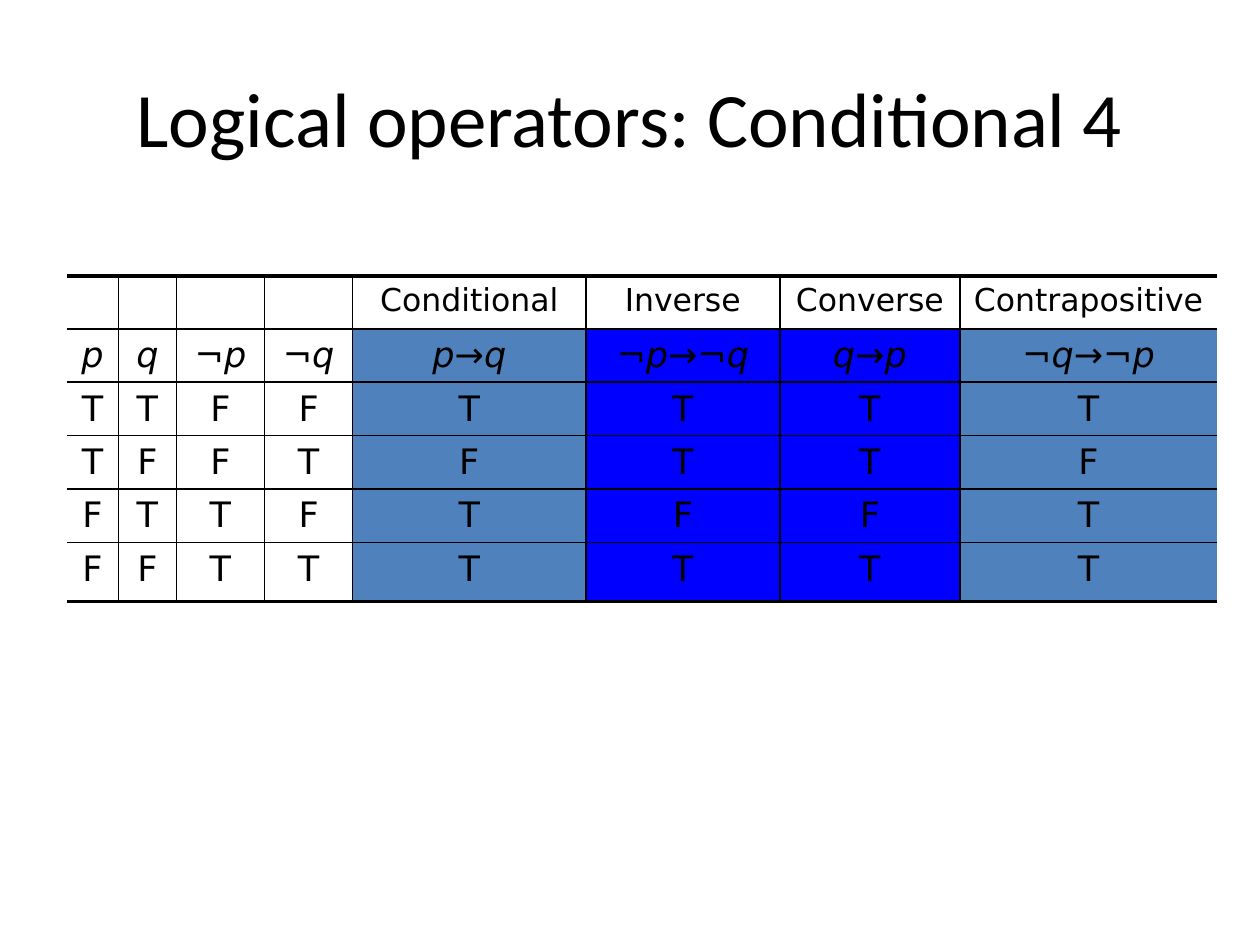
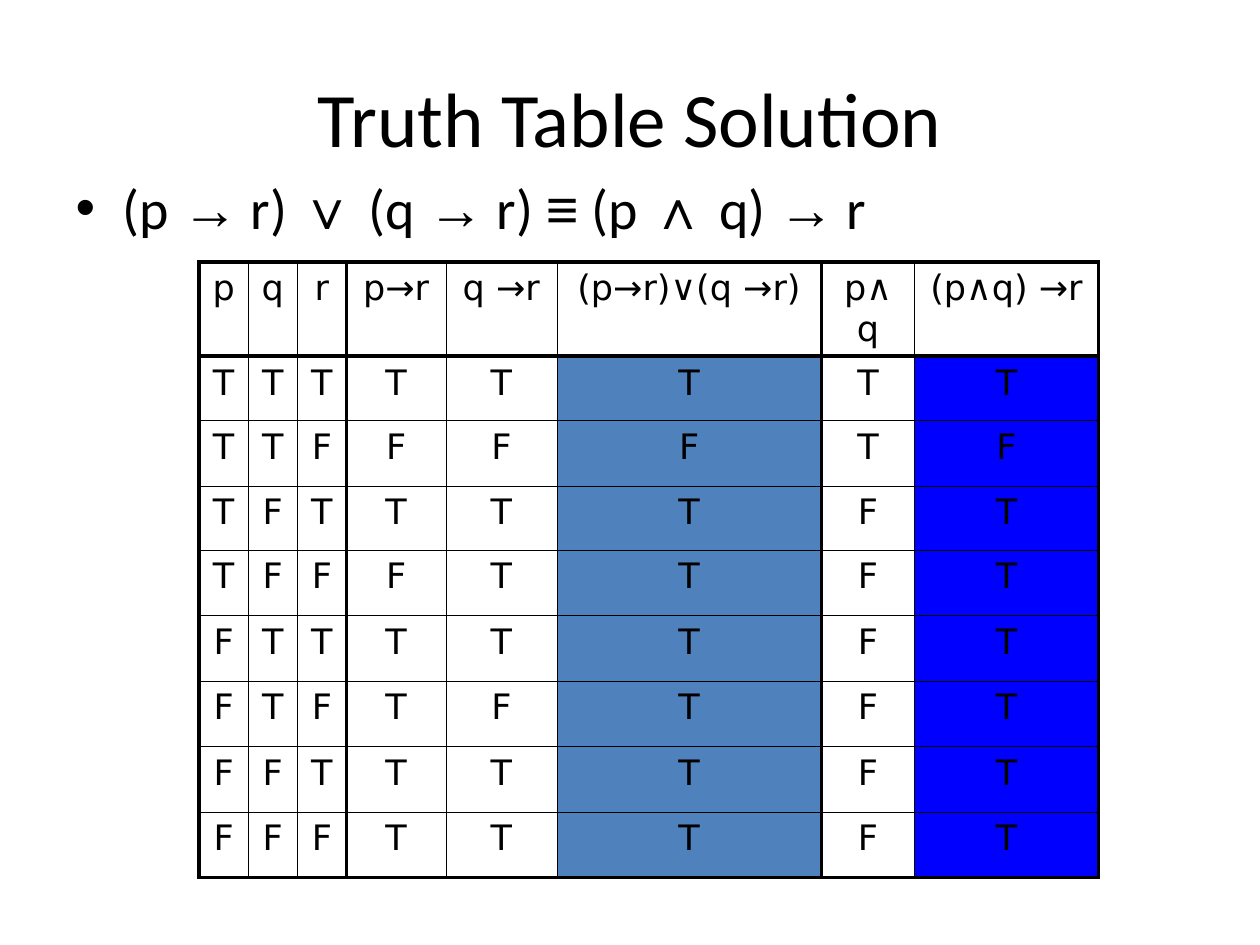
"""Build two slides that show truth tables for conditionals."""
import itertools

import pptx
import pptx.dml.color
import pptx.enum.text
import pptx.oxml
import pptx.oxml.ns
import pptx.util

Inches = pptx.util.Inches
Pt = pptx.util.Pt
RGBColor = pptx.dml.color.RGBColor
CENTER = pptx.enum.text.PP_ALIGN.CENTER

BLACK = RGBColor(0x00, 0x00, 0x00)
STEEL = RGBColor(0x4F, 0x81, 0xBD)
BLUE = RGBColor(0x00, 0x00, 0xFF)

HEAD_FONT = "Calibri"
SIGN_FONT = "Arial"
CELL_FONT = "DejaVu Sans"
SIGNS = "→∨≡∧"
THICK = 2.25


def style(run, size, font):
    """Give a run its size, font and black colour."""
    run.font.size = Pt(size)
    run.font.name = font
    run.font.color.rgb = BLACK


def split(para, text, marks):
    """Add text as runs and yield each run with whether it holds marks."""
    for hit, group in itertools.groupby(text, lambda char: char in marks):
        run = para.add_run()
        run.text = "".join(group)
        yield run, hit


def place(shape, left, top, width, height):
    """Move and size a shape, in inches."""
    shape.left, shape.top = Inches(left), Inches(top)
    shape.width, shape.height = Inches(width), Inches(height)


def add_slide(deck, layout, title):
    """Add a slide with a centred title."""
    slide = deck.slides.add_slide(deck.slide_layouts[layout])
    head = slide.shapes.title
    place(head, 0.5, 0.3, 9, 1.25)
    head.text_frame.text = title
    para = head.text_frame.paragraphs[0]
    para.alignment = CENTER
    style(para.runs[0], 44, HEAD_FONT)
    return slide


def add_claim(slide, text):
    """Fill the body with one bulleted formula."""
    body = slide.placeholders[1]
    place(body, 0.5, 1.33, 9, 5.37)
    para = body.text_frame.paragraphs[0]
    para.space_before = Pt(0)
    for run, sign in split(para, text, SIGNS):
        style(run, 32, SIGN_FONT if sign else HEAD_FONT)


def add_edge(cell, side, width):
    """Draw one cell border, or none when the width is zero."""
    props = cell._tc.get_or_add_tcPr()
    space = pptx.oxml.ns.nsdecls("a")
    paint = f'<a:solidFill><a:srgbClr val="{BLACK}"/></a:solidFill>'
    props.append(pptx.oxml.parse_xml(
        f'<a:ln{side} {space} w="{Pt(width)}">'
        f'{paint if width else "<a:noFill/>"}</a:ln{side}>'))


def fill_cell(cell, text, size, slanted=""):
    """Write centred text, with the slanted letters in italics."""
    para = cell.text_frame.paragraphs[0]
    para.alignment = CENTER
    for run, hit in split(para, text, slanted):
        style(run, size, CELL_FONT)
        run.font.italic = hit


def add_grid(slide, left, top, cols, rows, uprights, levels, fills):
    """Add an empty table with given border widths and column fills."""
    frame = slide.shapes.add_table(
        len(rows), len(cols), Inches(left), Inches(top),
        Inches(sum(cols)), Inches(sum(rows)))
    table = frame.table
    table.first_row = table.horz_banding = False
    for col, width in zip(table.columns, cols):
        col.width = Inches(width)
    for row, height in zip(table.rows, rows):
        row.height = Inches(height)
    for r, c in itertools.product(range(len(rows)), range(len(cols))):
        cell = table.cell(r, c)
        edges = uprights[c], uprights[c + 1], levels[r], levels[r + 1]
        for side, width in zip("LRTB", edges):
            add_edge(cell, side, width)
        if r and c in fills:
            cell.fill.solid()
            cell.fill.fore_color.rgb = fills[c]
        else:
            cell.fill.background()
    return table


def add_truths(table, first, lines):
    """Write strings of T and F into the rows from the first on."""
    for r, line in enumerate(lines, first):
        for c, value in enumerate(line):
            fill_cell(table.cell(r, c), value, 20)


def add_forms(deck):
    """Add the slide on the four forms of a conditional."""
    slide = add_slide(deck, 5, "Logical operators: Conditional 4")
    table = add_grid(
        slide, 0.53, 2.19,
        cols=[0.41, 0.46, 0.7, 0.7, 1.85, 1.54, 1.43, 2.04],
        rows=[0.42] * 5 + [0.47],
        uprights=[0] + [1] * 7 + [0],
        levels=[THICK] + [1] * 5 + [THICK],
        fills={4: STEEL, 5: BLUE, 6: BLUE, 7: STEEL})
    names = ["Conditional", "Inverse", "Converse", "Contrapositive"]
    for c, name in enumerate(names, 4):
        fill_cell(table.cell(0, c), name, 18)
    terms = ["p", "q", "¬p", "¬q", "p→q", "¬p→¬q", "q→p", "¬q→¬p"]
    for c, term in enumerate(terms):
        fill_cell(table.cell(1, c), term, 20, "pq")
    add_truths(table, 2, ["TTFFTTTT", "TFFTFTTF", "FTTFTFFT", "FFTTTTTT"])


def add_proof(deck):
    """Add the slide that proves the claim by a truth table."""
    slide = add_slide(deck, 1, "Truth Table Solution")
    add_claim(slide, "(p → r) ∨ (q → r) ≡ (p ∧ q) → r")
    table = add_grid(
        slide, 1.58, 2.08,
        cols=[0.39, 0.39, 0.39, 0.79, 0.88, 2.1, 0.74, 1.46],
        rows=[0.74, 0.51, 0.52, 0.51] + [0.52] * 5,
        uprights=[THICK if c in (0, 3, 6, 8) else 0.25 for c in range(9)],
        levels=[THICK if r in (0, 1, 9) else 0.25 for r in range(10)],
        fills={5: STEEL, 7: BLUE})
    terms = ["p", "q", "r", "p→r", "q →r", "(p→r)∨(q →r)", "p∧q", "(p∧q) →r"]
    for c, term in enumerate(terms):
        fill_cell(table.cell(0, c), term, 20)
    add_truths(table, 1, [
        "TTTTTTTT", "TTFFFFTF", "TFTTTTFT", "TFFFTTFT",
        "FTTTTTFT", "FTFTFTFT", "FFTTTTFT", "FFFTTTFT"])


def main():
    """Build and save the deck."""
    deck = pptx.Presentation()
    deck.slide_width, deck.slide_height = Inches(10), Inches(7.5)
    add_forms(deck)
    add_proof(deck)
    deck.save("out.pptx")


if __name__ == "__main__":
    main()
